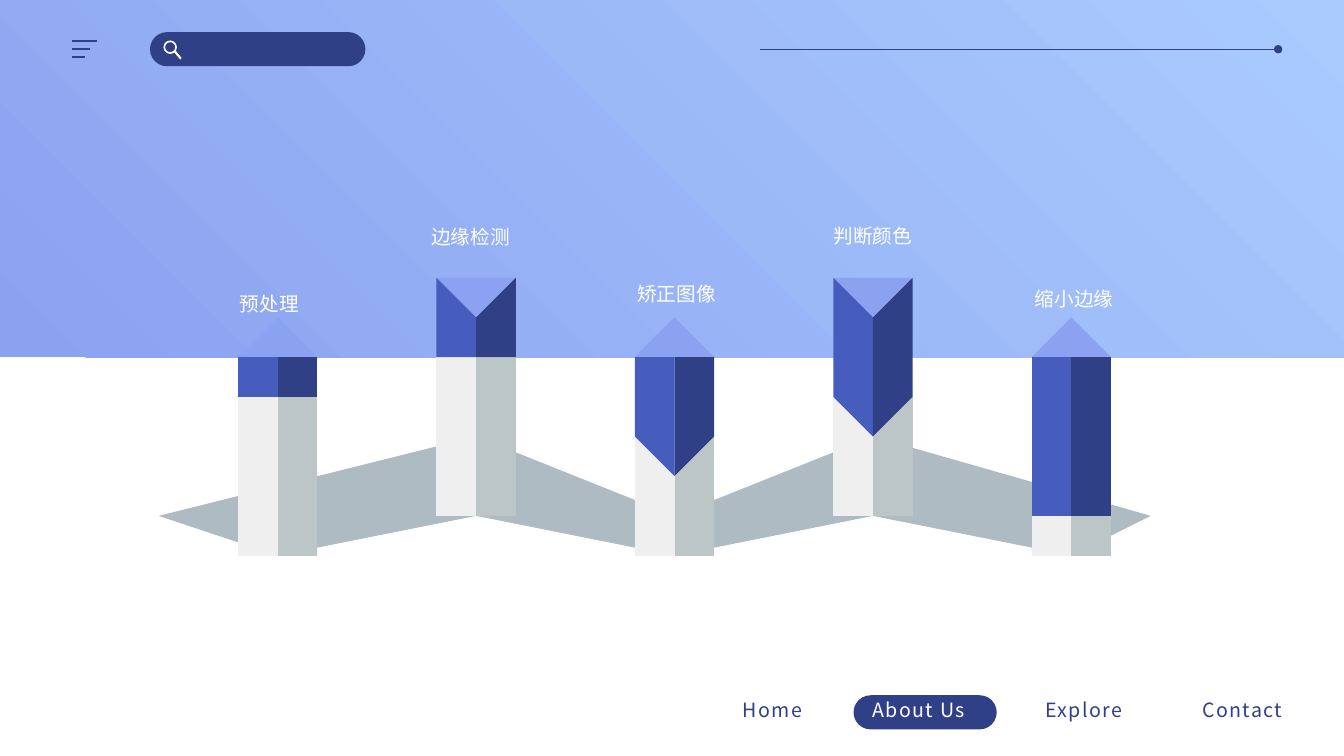
from lxml.etree import SubElement
from pptx import Presentation
from pptx.dml.color import RGBColor
from pptx.enum.shapes import MSO_CONNECTOR as Connector, MSO_SHAPE as Shape
from pptx.enum.text import MSO_AUTO_SIZE as AutoSize, PP_ALIGN as Align
from pptx.oxml.ns import qn
from pptx.util import Cm, Pt

COLORS = {
    "navy": "304086",
    "blue": "475DBD",
    "periwinkle": "8BA2F0",
    "sky": "AACBFE",
    "white": "FFFFFF",
    "light": "EFEFEF",
    "gray": "BDC6C6",
    "path": "AFBBC2",
}
PAGE_WIDTH, PAGE_HEIGHT = 33.87, 19.05
TEXT_HEIGHT = 0.86

# label, label centre, label top, blue top, column top, front corner, side corner
TOWERS = [
    ("预处理", 6.79, 7.24, 8.77, 9.57, 14.14, 13.75),
    ("边缘检测", 11.86, 5.54, 7.2, 8.82, 12.59, 12.99),
    ("矫正图像", 17.05, 6.99, 8.77, 11.19, 14.14, 13.75),
    ("判断颜色", 22.0, 5.51, 7.2, 10.45, 12.59, 12.99),
    ("缩小边缘", 27.07, 7.11, 8.77, 12.81, 14.14, 13.75),
]
FIRST_TOWER, TOWER_STEP = 6.79, 5.07
COLUMN_HALF, COLUMN_RISE = 1.29, 0.39
BLOCK_HALF, BLOCK_RISE = 1.08, 0.33

FLOOR = [
    (11.86, 11.2), (4.5, 13.44), (6.79, 14.14), (11.86, 12.59), (16.93, 14.14),
    (22, 12.59), (27.07, 14.14), (29.36, 13.44), (22, 11.2), (16.93, 12.75),
]

# text, left, width, color
MENU = [
    ("Home", 18.47, 2.11, "navy"),
    ("About Us", 21.74, 3.23, "white"),
    ("Explore", 26.09, 2.54, "navy"),
    ("Contact", 30.05, 2.79, "navy"),
]


def rgb(name):
    return RGBColor.from_string(COLORS[name])


class Painter:
    """Draws on one page; all positions are in centimetres."""

    font = "Noto Sans CJK SC"
    size = Pt(14)

    def __init__(self, page):
        self.shapes = page.shapes

    def paint(self, shape, color):
        """Flat fill without outline or shadow."""
        shape.shadow.inherit = False
        shape.line.fill.background()
        shape.fill.solid()
        shape.fill.fore_color.rgb = rgb(color)
        return shape

    def preset(self, kind, left, top, width, height, color, adjust=None):
        shape = self.shapes.add_shape(kind, Cm(left), Cm(top), Cm(width), Cm(height))
        if adjust is not None:
            shape.adjustments[0] = adjust
        return self.paint(shape, color)

    def gradient(self, left, top, width, height, start, end):
        band = self.preset(Shape.RECTANGLE, left, top, width, height, start)
        band.fill.gradient()
        band.fill.gradient_angle = 45
        for stop, color in zip(band.fill.gradient_stops, (start, end)):
            stop.color.rgb = rgb(color)

    def polygon(self, points, color):
        builder = self.shapes.build_freeform(*points[0], scale=Cm(1))
        builder.add_line_segments(points[1:], close=True)
        self.paint(builder.convert_to_shape(), color)

    def line(self, x1, y1, x2, y2, color, weight, tail=None):
        line = self.shapes.add_connector(
            Connector.STRAIGHT, Cm(x1), Cm(y1), Cm(x2), Cm(y2))
        line.line.color.rgb = rgb(color)
        line.line.width = Pt(weight)
        if tail:
            SubElement(line.line._get_or_add_ln(), qn("a:tailEnd"), type=tail)
        SubElement(line._element.spPr, qn("a:effectLst"))

    def text(self, words, left, top, width, color, align=Align.LEFT, wrap=True, spacing=0):
        box = self.shapes.add_textbox(Cm(left), Cm(top), Cm(width), Cm(TEXT_HEIGHT))
        frame = box.text_frame
        frame.word_wrap = wrap
        frame.auto_size = AutoSize.SHAPE_TO_FIT_TEXT
        frame.text = words
        para = frame.paragraphs[0]
        para.alignment = align
        span = para.runs[0]
        span.font.name = self.font
        span.font.size = self.size
        span.font.color.rgb = rgb(color)
        properties = span._r.get_or_add_rPr()
        SubElement(properties, qn("a:ea"), typeface=self.font)
        if spacing:
            properties.set("spc", str(spacing * 100))

    def roof(self, center, middle, half, rise, color):
        """Diamond seen from above."""
        self.polygon([(center, middle - rise), (center - half, middle),
                      (center, middle + rise), (center + half, middle)], color)

    def walls(self, center, half, inner_top, outer_top, inner_base, outer_base, colors):
        """Left and right faces that meet at the front edge."""
        for side, color in zip((-half, half), colors):
            self.polygon([(center + side, outer_top), (center + side, outer_base),
                          (center, inner_base), (center, inner_top)], color)

    def tower(self, center, block_top, column_top, front, side):
        self.walls(center, COLUMN_HALF, column_top, column_top, front, side,
                   ("light", "gray"))
        self.roof(center, column_top, COLUMN_HALF, COLUMN_RISE, "white")
        self.roof(center, block_top, BLOCK_HALF, BLOCK_RISE, "periwinkle")
        self.walls(center, BLOCK_HALF, block_top + BLOCK_RISE, block_top,
                   column_top + BLOCK_RISE, column_top, ("blue", "navy"))


def draw_header(painter):
    painter.gradient(0, 0, PAGE_WIDTH, 9, "periwinkle", "sky")
    painter.preset(Shape.ROUNDED_RECTANGLE, 3.78, 0.81, 5.43, 0.86, "navy", 0.5)
    painter.preset(Shape.DONUT, 4.12, 1.02, 0.34, 0.34, "white", 0.125)
    painter.line(4.41, 1.3, 4.56, 1.48, "white", 1.5)
    for row, length in enumerate((0.63, 0.45, 0.32)):
        height = 1.04 + 0.2 * row
        painter.line(1.82, height, 1.82 + length, height, "navy", 1.5)


def draw_menu(painter):
    painter.preset(Shape.ROUNDED_RECTANGLE, 21.51, 17.52, 3.61, 0.86, "navy", 0.5)
    for words, left, width, color in MENU:
        painter.text(words, left, 17.45, width, color, wrap=False, spacing=1)


def draw_towers(painter):
    painter.polygon(FLOOR, "path")
    label_width = 3.28
    for index, (label, middle, label_top, *levels) in enumerate(TOWERS):
        painter.tower(FIRST_TOWER + TOWER_STEP * index, *levels)
        painter.text(label, middle - label_width / 2, label_top, label_width,
                     "white", Align.CENTER)


def main():
    deck = Presentation()
    deck.slide_width, deck.slide_height = Cm(PAGE_WIDTH), Cm(PAGE_HEIGHT)
    painter = Painter(deck.slides.add_slide(deck.slide_layouts[6]))
    draw_header(painter)
    draw_menu(painter)
    draw_towers(painter)
    painter.line(19.15, 1.24, 32.21, 1.24, "navy", 0.5, tail="oval")
    deck.save("out.pptx")


if __name__ == "__main__":
    main()
